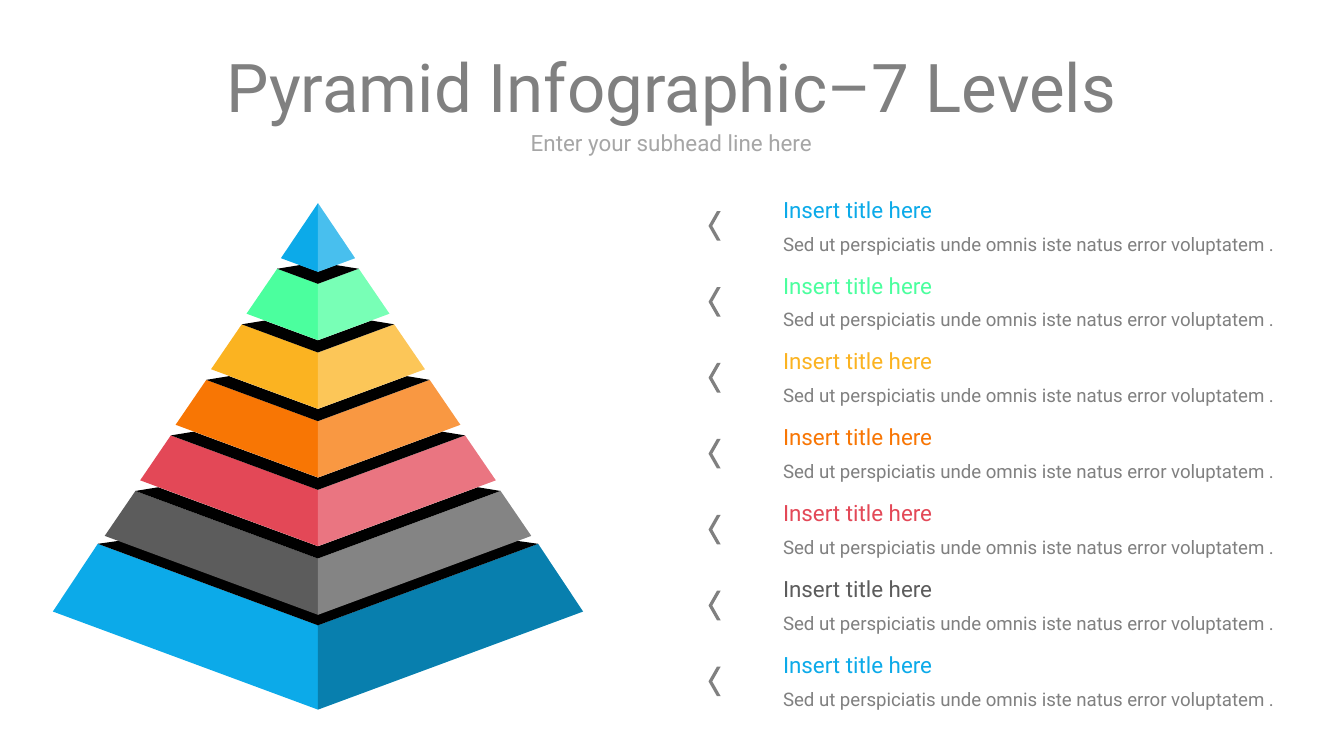
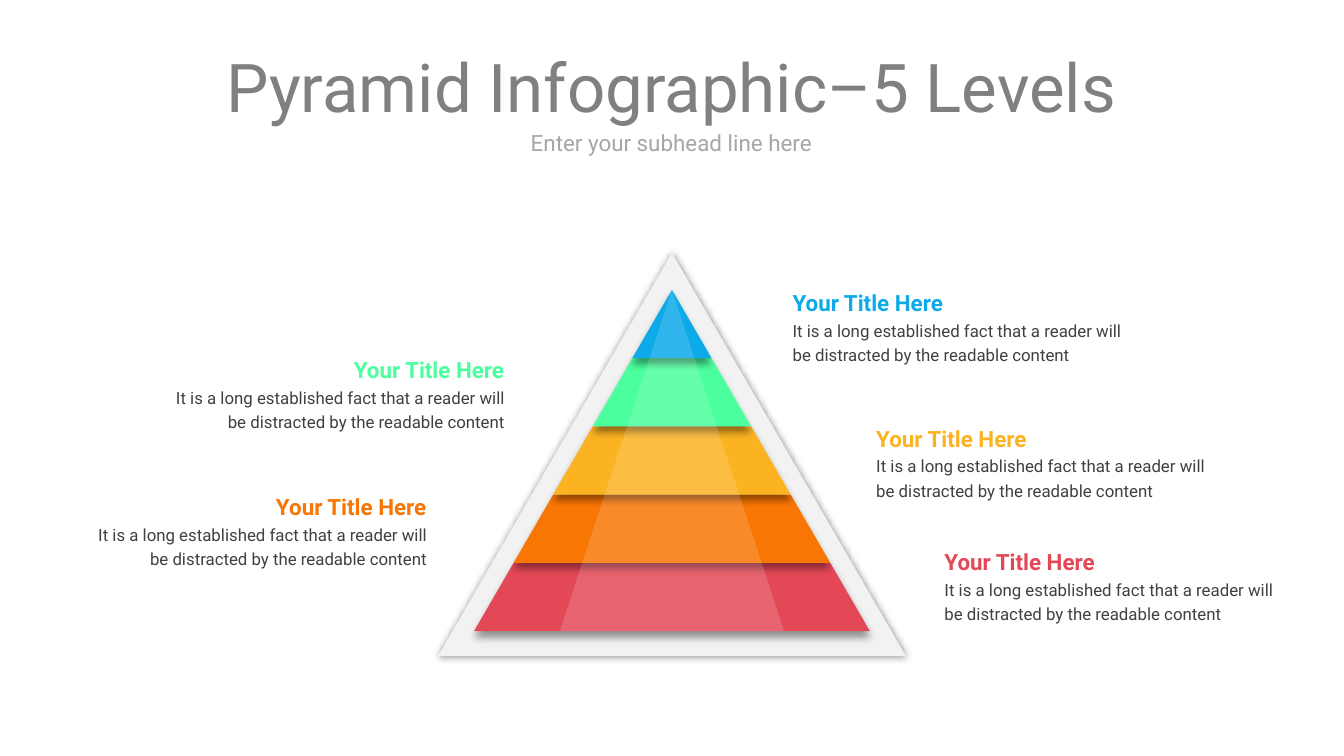
import pptx
import pptx.dml.color
import pptx.enum.shapes
import pptx.enum.text
import pptx.oxml
import pptx.oxml.ns
import pptx.util
from lxml import etree

Cm = pptx.util.Cm
Pt = pptx.util.Pt
RGBColor = pptx.dml.color.RGBColor
ALIGN = pptx.enum.text.PP_ALIGN
AUTO_SIZE = pptx.enum.text.MSO_AUTO_SIZE
qn = pptx.oxml.ns.qn

# Shared colours and font
BLUE = RGBColor(0x0C, 0xAA, 0xE9)
MINT = RGBColor(0x4B, 0xFF, 0x9E)
YELLOW = RGBColor(0xFB, 0xB3, 0x21)
ORANGE = RGBColor(0xF8, 0x76, 0x04)
RED = RGBColor(0xE3, 0x48, 0x57)
DARK_GREY = RGBColor(0x5C, 0x5C, 0x5C)
GREY = RGBColor(0x80, 0x80, 0x80)
LIGHT_GREY = RGBColor(0xA6, 0xA6, 0xA6)
BODY_GREY = RGBColor(0x40, 0x40, 0x40)
FRAME_GREY = RGBColor(0xF2, 0xF2, 0xF2)
BLACK = RGBColor(0, 0, 0)
WHITE = RGBColor(0xFF, 0xFF, 0xFF)
FONT = "Roboto"

NO_INSETS = {"margin_left": 0, "margin_right": 0, "margin_top": 0, "margin_bottom": 0}

# Seven-level pyramid, in cm
SEVEN_COLOURS = [BLUE, MINT, YELLOW, ORANGE, RED, DARK_GREY, BLUE]
SEVEN_CENTRE = 6.01
EDGE_SLOPE = 0.37  # drop of a level's front edge per cm towards the centre
LIST_TOP, LIST_SPAN = 3.7, 8.61

# Five-level pyramid, in cm
FIVE_COLOURS = [BLUE, MINT, YELLOW, ORANGE, RED]
FIVE_CENTRE, FIVE_TOP = 12.7, 5.48
FIVE_HALF, FIVE_HEIGHT = 3.74, 6.45
CALLOUTS = [  # left, top, width, colour, alignment
    (17.6, 10.13, 6.71, RED, ALIGN.LEFT),
    (2.92, 6.5, 6.86, MINT, ALIGN.RIGHT),
    (16.31, 7.8, 6.71, YELLOW, ALIGN.LEFT),
    (14.73, 5.23, 6.71, BLUE, ALIGN.LEFT),
    (1.45, 9.09, 6.86, ORANGE, ALIGN.RIGHT),
]


def set_values(target, values):
    for name, value in values.items():
        setattr(target, name, value)


def place(shape, left, top, width, height):
    set_values(shape, {"left": Cm(left), "top": Cm(top),
                       "width": Cm(width), "height": Cm(height)})


def write(paragraph, text, size, colour, bold=False, align=ALIGN.LEFT):
    paragraph.alignment = align
    run = paragraph.add_run()
    run.text = text
    set_values(run.font, {"name": FONT, "size": Pt(size), "bold": bold})
    run.font.color.rgb = colour


def format_frame(frame, **values):
    set_values(frame, {"word_wrap": True,
                       "vertical_anchor": pptx.enum.text.MSO_ANCHOR.MIDDLE,
                       **values})


def add_line_of_text(slide, box, text, size, colour, align=ALIGN.LEFT, **frame_values):
    text_box = slide.shapes.add_textbox(*map(Cm, box))
    format_frame(text_box.text_frame, **NO_INSETS, **frame_values)
    write(text_box.text_frame.paragraphs[0], text, size, colour, align=align)


def add_titled_slide(deck, title):
    slide = deck.slides.add_slide(deck.slide_layouts.get_by_name("Title Only"))
    heading = slide.shapes.title
    place(heading, 1.07, 0.94, 23.24, 1.37)
    format_frame(heading.text_frame, auto_size=AUTO_SIZE.NONE, **NO_INSETS)
    write(heading.text_frame.paragraphs[0], title, 36, GREY, align=ALIGN.CENTER)
    add_line_of_text(slide, (1.07, 2.46, 23.24, 0.48), "Enter your subhead line here",
                     12, LIGHT_GREY, ALIGN.CENTER)
    return slide


def paint(shape, colour, opacity=100):
    shape.shadow.inherit = False
    shape.fill.solid()
    shape.fill.fore_color.rgb = colour
    shape.line.fill.background()
    if opacity < 100:
        colour_node = next(shape._element.spPr.iter(qn("a:srgbClr")))
        etree.SubElement(colour_node, qn("a:alpha"), val=str(opacity * 1000))


def add_polygon(shapes, points, colour, opacity=100):
    corners = [(Cm(x), Cm(y)) for x, y in points]
    builder = shapes.build_freeform(*corners[0])
    builder.add_line_segments(corners[1:], close=True)
    polygon = builder.convert_to_shape()
    paint(polygon, colour, opacity)
    return polygon


def add_shadow(shape, opacity, blur, distance, degrees):
    effects = shape._element.spPr.find(qn("a:effectLst"))
    shadow = etree.SubElement(
        effects, qn("a:outerShdw"), blurRad=str(Pt(blur)), dist=str(Pt(distance)),
        dir=str(degrees * 60000), algn="ctr", rotWithShape="0")
    colour_node = etree.SubElement(shadow, qn("a:srgbClr"), val=str(BLACK))
    etree.SubElement(colour_node, qn("a:alpha"), val=str(opacity * 1000))


# Seven levels: a body, a dark lid and a tinted right face each
def front_edge(half, y):
    """Left, centre and right points of a V-shaped edge."""
    return [(SEVEN_CENTRE - half, y),
            (SEVEN_CENTRE, y + EDGE_SLOPE * half),
            (SEVEN_CENTRE + half, y)]


def add_solid_level(shapes, colour, top_half, top, bottom_half, bottom,
                    lid_depth=0.43, lid_rise=0.07, tint=WHITE):
    upper = front_edge(top_half, top)
    lower = front_edge(bottom_half, bottom)
    add_polygon(shapes, upper + lower[::-1], colour)
    if top_half:
        back = front_edge(top_half - lid_depth, top - lid_rise)
        add_polygon(shapes, upper + back[::-1], BLACK)
    add_polygon(shapes, upper[1:] + lower[:0:-1], tint, 25)


def add_solid_pyramid(slide):
    shapes = slide.shapes.add_group_shape().shapes
    apex, *middle, base = SEVEN_COLOURS
    add_solid_level(shapes, base, 4.16, 10.28, 5.01, 11.56,
                    lid_depth=0.63, lid_rise=0.09, tint=BLACK)
    for i, colour in reversed(list(enumerate(middle))):
        half, top = 0.77 + 0.67 * i, 5.08 + 1.05 * i
        add_solid_level(shapes, colour, half, top, half + 0.58, top + 0.85)
    add_solid_level(shapes, apex, 0, 3.84, 0.7, 4.88)


def add_list_item(slide, top, colour):
    chevron = slide.shapes.add_shape(
        pptx.enum.shapes.MSO_SHAPE.CHEVRON, *map(Cm, (13.39, top + 0.29, 0.23, 0.56)))
    chevron.adjustments[0] = 0.695
    chevron.rotation = 180
    paint(chevron, GREY)
    add_line_of_text(slide, (14.8, top, 2.9, 0.51), "Insert title here", 12, colour,
                     word_wrap=False, auto_size=AUTO_SIZE.SHAPE_TO_FIT_TEXT)
    add_line_of_text(slide, (14.8, top + 0.69, 9.53, 0.43),
                     "Sed ut perspiciatis unde omnis iste natus error voluptatem .",
                     10, GREY, auto_size=AUTO_SIZE.SHAPE_TO_FIT_TEXT)


# Five levels: flat bands on a framed triangle
def triangle(half, top, bottom):
    return [(FIVE_CENTRE, top), (FIVE_CENTRE + half, bottom), (FIVE_CENTRE - half, bottom)]


def add_flat_pyramid(slide):
    shapes = slide.shapes.add_group_shape().shapes
    frame = add_polygon(shapes, triangle(4.42, 4.78, 12.4), FRAME_GREY)
    add_shadow(frame, 45, 4, 0, 0)

    levels = len(FIVE_COLOURS)
    half_step, height_step = FIVE_HALF / levels, FIVE_HEIGHT / levels
    for i, colour in reversed(list(enumerate(FIVE_COLOURS))):
        upper, lower = i * half_step, (i + 1) * half_step
        top = FIVE_TOP + i * height_step
        bottom = top + height_step
        band = add_polygon(shapes, [
            (FIVE_CENTRE - upper, top), (FIVE_CENTRE + upper, top),
            (FIVE_CENTRE + lower, bottom), (FIVE_CENTRE - lower, bottom)], colour)
        add_shadow(band, 40, 4, 3, 90)

    add_polygon(shapes, triangle(2.12, FIVE_TOP, FIVE_TOP + FIVE_HEIGHT), WHITE, 15)


def add_callout(slide, left, top, width, colour, align):
    callout = slide.shapes.add_textbox(*map(Cm, (left, top, width, 1.8)))
    frame = callout.text_frame
    format_frame(frame, auto_size=AUTO_SIZE.SHAPE_TO_FIT_TEXT)
    write(frame.paragraphs[0], "Your Title Here", 12, colour, True, align)
    write(frame.add_paragraph(),
          "It is a long established fact that a reader will "
          "be distracted by the readable content", 9, BODY_GREY, align=align)
    for paragraph in frame.paragraphs:
        paragraph.line_spacing = 1.2


def main():
    deck = pptx.Presentation()
    set_values(deck, {"slide_width": Cm(25.4), "slide_height": Cm(14.29)})

    seven = add_titled_slide(deck, "Pyramid Infographic–7 Levels")
    add_solid_pyramid(seven)
    pitch = LIST_SPAN / (len(SEVEN_COLOURS) - 1)
    for i, colour in enumerate(SEVEN_COLOURS):
        add_list_item(seven, LIST_TOP + i * pitch, colour)

    five = add_titled_slide(deck, "Pyramid Infographic–5 Levels")
    add_flat_pyramid(five)
    for callout in CALLOUTS:
        add_callout(five, *callout)

    deck.save("out.pptx")


if __name__ == "__main__":
    main()
